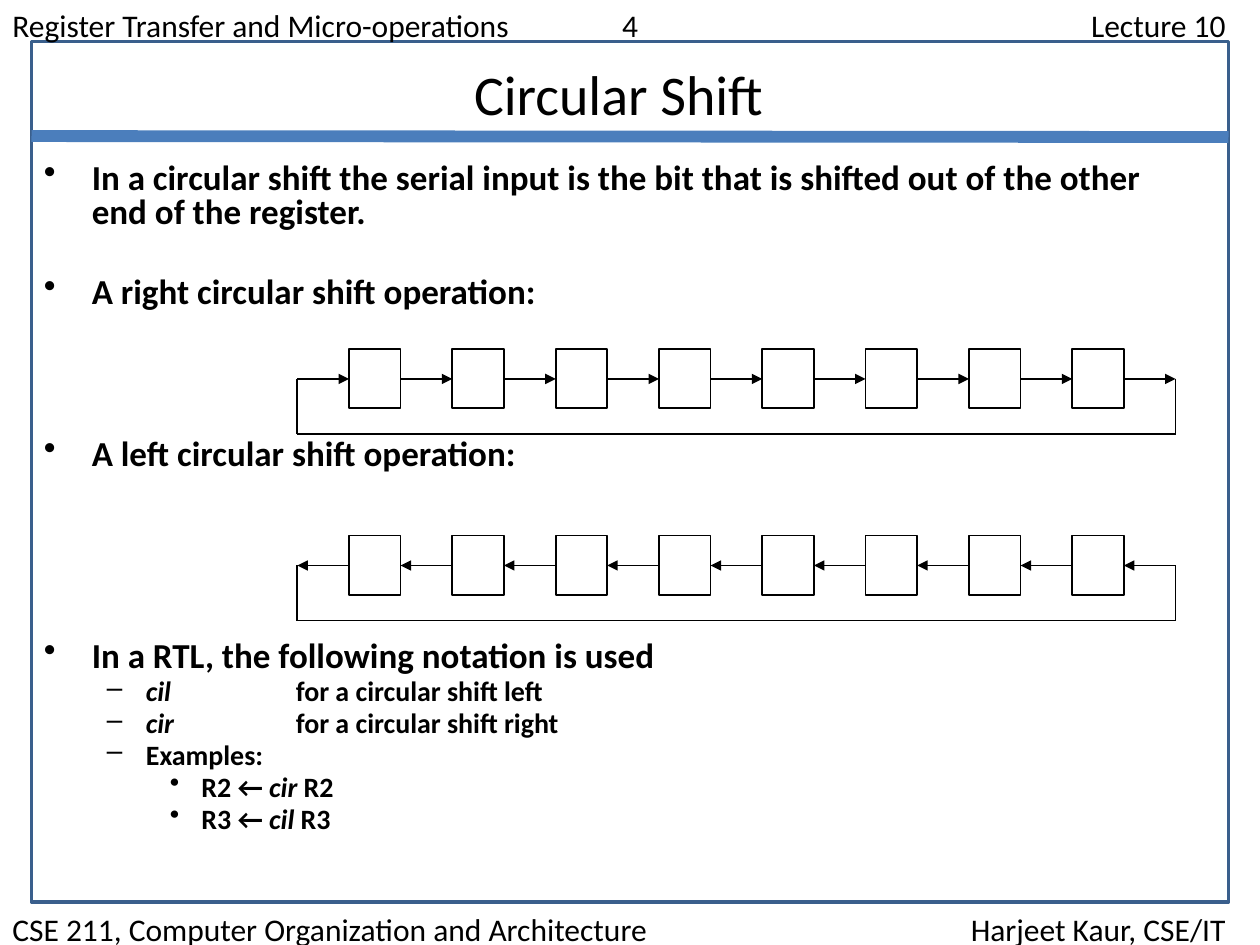
from lxml import etree
from pptx import Presentation
from pptx import util as u
from pptx.dml.color import RGBColor
from pptx.enum import shapes, text
from pptx.oxml.ns import qn

INK = RGBColor(0x00, 0x00, 0x00)
FRAME_BLUE = RGBColor(0x3A, 0x5F, 0x8C)
RULE_BLUE = RGBColor(0x4B, 0x7E, 0xBC)

INDENTS = [(0.38, 0.38), (0.81, 0.31), (1.25, 0.25)]
BULLETS = "•–•"
SIZES = [20, 16, 16]
GAPS = [3.6, 2.9, 2.9]

POINTS = [
    (0, 3.6, [("In a circular shift the serial input is the bit that is "
               "shifted out of the other end of the register.", False)]),
    (0, 26.8, [("A right circular shift operation:", False)]),
    (0, 73, [("A left circular shift operation:", False)]),
    (0, 96.5, [("In a RTL, the following notation is used", False)]),
    (1, None, [("cil", True), ("\tfor a circular shift left", False)]),
    (1, None, [("cir", True), ("\tfor a circular shift right", False)]),
    (1, None, [("Examples:", False)]),
    (2, None, [("R2 ← ", False), ("cir", True), (" R2", False)]),
    (2, None, [("R3 ← ", False), ("cil", True), (" R3", False)]),
]


class LectureSlide:
    font = "Calibri"

    def __init__(self, deck):
        self.width, self.height = deck.slide_width, deck.slide_height
        self.slide = deck.slides.add_slide(deck.slide_layouts[5])

    def place(self, x, y):
        return int(self.width * x / 100), int(self.height * y / 100)

    def format_run(self, run, size, bold=False, italic=False):
        run.font.name, run.font.size = self.font, u.Pt(size)
        run.font.bold, run.font.italic = bold, italic
        run.font.color.rgb = INK

    def add_tabs(self, paragraph, stops):
        tabs = etree.SubElement(paragraph._p.get_or_add_pPr(), qn("a:tabLst"))
        for inches, align in stops:
            etree.SubElement(tabs, qn("a:tab"), pos=str(u.Inches(inches)), algn=align)

    def title(self, x, y, w, h, words):
        heading = self.slide.shapes.title
        heading.left, heading.top = self.place(x, y)
        heading.width, heading.height = self.place(w, h)
        frame = heading.text_frame
        frame.text = words
        frame.auto_size = text.MSO_AUTO_SIZE.NONE
        frame.vertical_anchor = text.MSO_ANCHOR.TOP
        frame.paragraphs[0].alignment = text.PP_ALIGN.CENTER
        self.format_run(frame.paragraphs[0].runs[0], 32)

    def text_area(self, x, y, w, h):
        area = self.slide.shapes.add_textbox(*self.place(x, y), *self.place(w, h))
        area.text_frame.word_wrap = True
        return area.text_frame

    def running_line(self, y, words, stops):
        paragraph = self.text_area(0, y, 100, 5.33).paragraphs[0]
        paragraph.text = words
        self.add_tabs(paragraph, stops)
        for run in paragraph.runs:
            self.format_run(run, 18)

    def outline(self, x, y, w, h, points):
        frame = self.text_area(x, y, w, h)
        for index, (level, gap, pieces) in enumerate(points):
            paragraph = frame.add_paragraph() if index else frame.paragraphs[0]
            paragraph.level = level
            paragraph.line_spacing = 0.8
            paragraph.space_before = u.Pt(gap or GAPS[level])
            margin, hang = INDENTS[level]
            properties = paragraph._p.get_or_add_pPr()
            properties.set("marL", str(u.Inches(margin)))
            properties.set("indent", str(-u.Inches(hang)))
            etree.SubElement(properties, qn("a:buChar"), char=BULLETS[level])
            if level == 1:
                self.add_tabs(paragraph, [(2, "l")])
            for words, italic in pieces:
                run = paragraph.add_run()
                run.text = words
                self.format_run(run, SIZES[level], True, italic)

    def box(self, x, y, w, h, color=INK, weight=1):
        outline = self.slide.shapes.add_shape(
            shapes.MSO_SHAPE.RECTANGLE, *self.place(x, y), *self.place(w, h))
        outline.shadow.inherit = False
        outline.fill.background()
        outline.line.color.rgb, outline.line.width = color, u.Pt(weight)

    def line(self, start, end, color=INK, weight=1, arrow=False):
        wire = self.slide.shapes.add_connector(
            shapes.MSO_CONNECTOR.STRAIGHT, *self.place(*start), *self.place(*end))
        wire.line.color.rgb, wire.line.width = color, u.Pt(weight)
        if arrow:
            etree.SubElement(wire.line._get_or_add_ln(), qn("a:tailEnd"), type="triangle")
        etree.SubElement(wire._element.spPr, qn("a:effectLst"))

    def register(self, top, to_right, bits=8, left=23.6, cell=4.1):
        middle, bottom = top + 3.17, top + 9
        right = left + cell * (2 * bits + 1)
        for step in range(bits + 1):
            x = left + 2 * cell * step
            ends = [(x, middle), (x + cell, middle)]
            self.line(*(ends if to_right else ends[::-1]), arrow=True)
            if step < bits:
                self.box(x + cell, top, cell, 6.27)
        self.line((left, bottom), (left, middle))
        self.line((right, bottom), (right, middle))
        self.line((left, bottom), (right, bottom))


def main():
    deck = Presentation()
    deck.slide_width, deck.slide_height = u.Inches(10), u.Inches(7.5)
    lecture = LectureSlide(deck)
    lecture.box(2.5, 4.4, 95, 91.07, FRAME_BLUE, 2)
    lecture.running_line(0, "Register Transfer and Micro-operations\t4\tLecture 10",
                         [(4.84, "l"), (9.63, "r")])
    lecture.running_line(
        95.6, "CSE 211, Computer Organization and Architecture\tHarjeet Kaur, CSE/IT",
        [(9.63, "r")])
    lecture.line((2.5, 14.4), (97.5, 14.5), RULE_BLUE, 6.75)
    lecture.title(7, 5.6, 84.2, 8.53, "Circular Shift")
    lecture.outline(2.5, 16.67, 90.8, 82.53, POINTS)
    lecture.register(36.93, to_right=True)
    lecture.register(56.67, to_right=False)
    deck.save("out.pptx")


if __name__ == "__main__":
    main()
